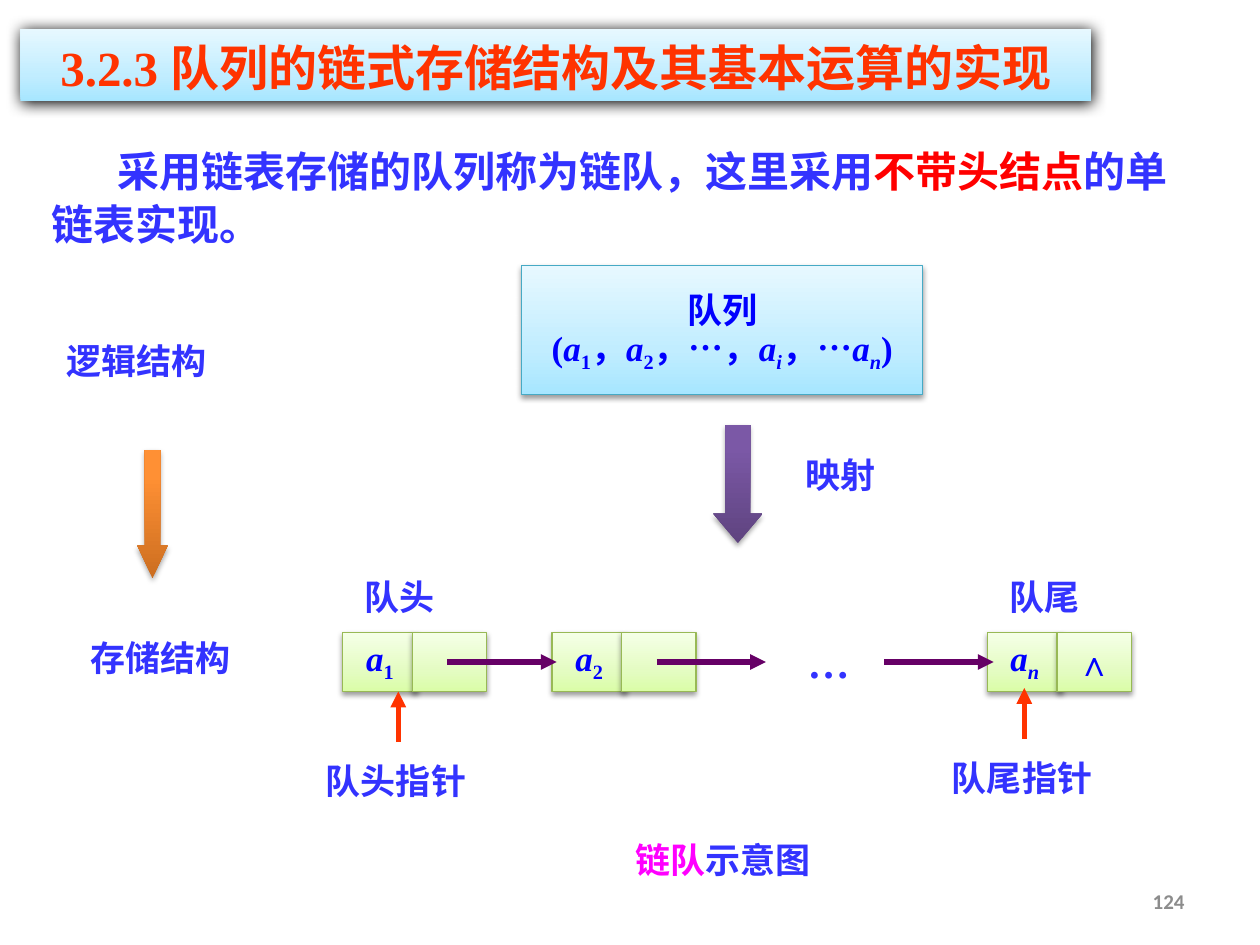
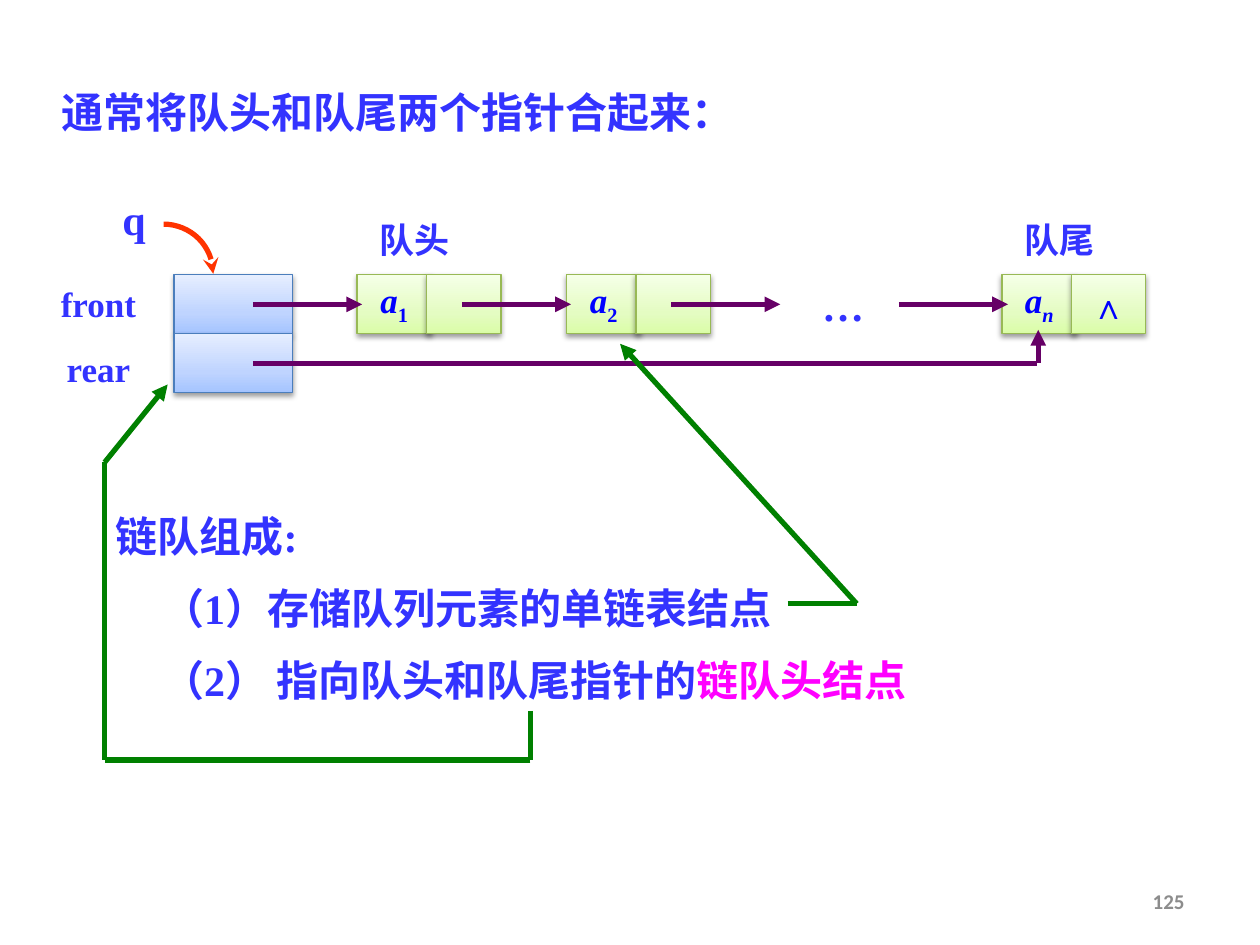
"""Two slides on the linked storage of a queue."""
import math
from dataclasses import dataclass
from typing import Optional, Sequence

import pptx
import pptx.dml.color
import pptx.enum.shapes
import pptx.enum.text
import pptx.oxml
import pptx.oxml.ns
import pptx.util

Cm = pptx.util.Cm
Pt = pptx.util.Pt
RGBColor = pptx.dml.color.RGBColor
SHAPE = pptx.enum.shapes.MSO_SHAPE
ALIGN = pptx.enum.text.PP_ALIGN
ANCHOR = pptx.enum.text.MSO_ANCHOR
qn = pptx.oxml.ns.qn
NAMESPACE = 'xmlns:a="http://schemas.openxmlformats.org/drawingml/2006/main"'

TEXT_BLUE = RGBColor(0x33, 0x33, 0xFF)
NODE_BLUE = RGBColor(0x00, 0x00, 0xFF)
RED = RGBColor(0xFF, 0x00, 0x00)
ORANGE_RED = RGBColor(0xFF, 0x33, 0x00)
MAGENTA = RGBColor(0xFF, 0x00, 0xFF)
PURPLE = RGBColor(0x66, 0x00, 0x66)
GREEN = RGBColor(0x00, 0x80, 0x00)
GREY = RGBColor(0x8C, 0x8C, 0x8C)

SERIF = "Times New Roman"
CHINESE = "Noto Sans CJK SC"
LINE_FACTOR = 1.25


@dataclass(frozen=True)
class Look:
    """Gradient from bottom to top, outline and shadow of a shape."""
    stops: Sequence[tuple[int, str]]
    outline: Optional[RGBColor] = None
    shadow_alpha: int = 38
    shadow_blur: float = 3.1
    shadow_distance: float = 1.6


@dataclass(frozen=True)
class Run:
    """A piece of text in one format."""
    text: str
    color: RGBColor = TEXT_BLUE
    italic: bool = False
    subscript: bool = False


@dataclass(frozen=True)
class Box:
    """Left, top, width and height in centimetres."""
    left: float
    top: float
    width: float
    height: float

    def lengths(self) -> list[int]:
        """Return the four lengths for a python-pptx call."""
        return [Cm(value) for value in (self.left, self.top, self.width, self.height)]


AQUA_STOPS = ((0, "A7E6FF"), (35, "C1EDFF"), (100, "E7F8FF"))
BANNER = Look(AQUA_STOPS, None, 100, 8.5, 1)
AQUA = Look(AQUA_STOPS, RGBColor(0x46, 0xAA, 0xC5))
LIME = Look(((0, "DAFDA7"), (35, "E4FCC2"), (100, "F5FFE7")), RGBColor(0x98, 0xB9, 0x55))
BLUE = Look(((0, "A4C4FF"), (35, "BFD4FF"), (100, "E6EEFF")), RGBColor(0x4B, 0x7E, 0xBC))
VIOLET = Look(((0, "5F4480"), (80, "7B58A6"), (100, "7C57A8")), None, 35, 3.1, 1.8)
ORANGE = Look(((0, "CC6E20"), (80, "FF9034"), (100, "FF9136")), None, 35, 3.1, 1.8)

CELL_WIDTH, CELL_HEIGHT, CELL_STEP = 1.5, 1.19, 1.4
SECOND_NODE, LAST_NODE = 4.22, 13.0
LINK_LENGTH = 2.2


def variable(index: str, italic_index: bool = False) -> list[Run]:
    """Return the runs of a queue element such as a1."""
    return [Run("a", NODE_BLUE, True), Run(index, NODE_BLUE, italic_index, True)]


def fill_paragraph(paragraph, runs: Sequence[Run], size: float, align=ALIGN.LEFT,
                   indent: float = 0, font: str = SERIF, bold: bool = True) -> None:
    """Write formatted runs into a paragraph."""
    paragraph.alignment = align
    paragraph.line_spacing = Pt(size * LINE_FACTOR)
    if indent:
        properties = paragraph._p.get_or_add_pPr()
        properties.set("marL", "0")
        properties.set("indent", str(Cm(indent)))
    for item in runs:
        run = paragraph.add_run()
        run.text = item.text
        run.font.name = font
        run.font.size = Pt(size)
        run.font.bold = bold
        run.font.italic = item.italic
        run.font.color.rgb = item.color
        properties = run._r.get_or_add_rPr()
        properties.append(pptx.oxml.parse_xml(f'<a:ea {NAMESPACE} typeface="{CHINESE}"/>'))
        if item.subscript:
            properties.set("baseline", "-25000")


def add_label(slide, box: Box, runs: Sequence[Run], size: float = 20,
              align=ALIGN.CENTER, indent: float = 0):
    """Add a wrapped text box holding one paragraph."""
    label = slide.shapes.add_textbox(*box.lengths())
    label.text_frame.word_wrap = True
    fill_paragraph(label.text_frame.paragraphs[0], runs, size, align, indent)
    return label


def add_block(slide, kind, box: Box, look: Look):
    """Add a preset shape with gradient, outline and shadow."""
    shape = slide.shapes.add_shape(kind, *box.lengths())
    shape.fill.solid()
    stops = "".join(f'<a:gs pos="{position * 1000}"><a:srgbClr val="{color}"/></a:gs>'
                    for position, color in look.stops)
    properties = shape._element.spPr
    properties.replace(properties.find(qn("a:solidFill")), pptx.oxml.parse_xml(
        f'<a:gradFill {NAMESPACE} rotWithShape="1"><a:gsLst>{stops}</a:gsLst>'
        '<a:lin ang="16200000" scaled="0"/></a:gradFill>'))
    if look.outline is None:
        shape.line.fill.background()
    else:
        shape.line.color.rgb = look.outline
        shape.line.width = Pt(0.75)
    shape.shadow.inherit = False
    properties.find(qn("a:effectLst")).append(pptx.oxml.parse_xml(
        f'<a:outerShdw {NAMESPACE} blurRad="{Pt(look.shadow_blur)}" '
        f'dist="{Pt(look.shadow_distance)}" dir="5400000" rotWithShape="0">'
        f'<a:srgbClr val="000000"><a:alpha val="{look.shadow_alpha * 1000}"/></a:srgbClr>'
        '</a:outerShdw>'))
    return shape


def add_cell(slide, box: Box, look: Look, lines: Sequence[Sequence[Run]] = ()) -> None:
    """Add a rectangle with centred, unwrapped lines of text."""
    cell = add_block(slide, SHAPE.RECTANGLE, box, look)
    frame = cell.text_frame
    frame.word_wrap = False
    frame.vertical_anchor = ANCHOR.MIDDLE
    for number, runs in enumerate(lines):
        paragraph = frame.add_paragraph() if number else frame.paragraphs[0]
        fill_paragraph(paragraph, runs, 20, ALIGN.CENTER)


def add_head(line, kind: str) -> None:
    """Put an arrowhead at the end of a line."""
    line._get_or_add_ln().append(
        pptx.oxml.parse_xml(f'<a:tailEnd {NAMESPACE} type="{kind}"/>'))


def add_line(slide, start: tuple[float, float], end: tuple[float, float],
             color: RGBColor, arrow: bool = True) -> None:
    """Add a straight 3 pt line, by default with an arrowhead."""
    connector = slide.shapes.add_connector(
        pptx.enum.shapes.MSO_CONNECTOR.STRAIGHT, *(Cm(value) for value in start + end))
    connector.line.color.rgb = color
    connector.line.width = Pt(3)
    if arrow:
        add_head(connector.line, "triangle")
    connector._element.spPr.append(pptx.oxml.parse_xml(f"<a:effectLst {NAMESPACE}/>"))


def add_quarter_arrow(slide, left: float, top: float, radius: float) -> None:
    """Add a quarter-circle arrow that runs right and then down."""
    steps = 16
    angles = [math.pi / 2 * step / steps for step in range(steps + 1)]
    points = [(Cm(left + radius * math.sin(angle)),
               Cm(top + radius * (1 - math.cos(angle)))) for angle in angles]
    builder = slide.shapes.build_freeform(*points[0])
    builder.add_line_segments(points[1:], close=False)
    curve = builder.convert_to_shape()
    curve.fill.background()
    curve.line.color.rgb = ORANGE_RED
    curve.line.width = Pt(3)
    curve.shadow.inherit = False
    add_head(curve.line, "stealth")


def add_chain(slide, left: float, top: float) -> None:
    """Draw the linked list with its labels."""
    nodes = ((0, variable("1"), []),
             (SECOND_NODE, variable("2"), []),
             (LAST_NODE, variable("n", True), [Run("∧", NODE_BLUE)]))
    for offset, data, pointer in nodes:
        for column, runs in enumerate((data, pointer)):
            box = Box(left + offset + column * CELL_STEP, top, CELL_WIDTH, CELL_HEIGHT)
            add_cell(slide, box, LIME, [runs] if runs else [])
    middle = top + CELL_HEIGHT / 2
    for offset in (2.11, 2.11 + SECOND_NODE, 10.92):
        add_line(slide, (left + offset, middle), (left + offset + LINK_LENGTH, middle), PURPLE)
    add_label(slide, Box(left + 8.59, top - 0.08, 2.41, 1.27), [Run("…")], 24)
    for offset, text in ((0, "队头"), (LAST_NODE, "队尾")):
        add_label(slide, Box(left + offset - 0.24, top - 1.3, 2.79, 1.12), [Run(text)])


def add_page_number(slide, number: int) -> None:
    """Add the page number at the bottom right."""
    footer = slide.shapes.add_textbox(*Box(18.21, 17.65, 5.92, 1.01).lengths())
    footer.text_frame.word_wrap = True
    footer.text_frame.vertical_anchor = ANCHOR.MIDDLE
    fill_paragraph(footer.text_frame.paragraphs[0], [Run(str(number), GREY)], 12,
                   ALIGN.RIGHT, font="Calibri")


def build_mapping_slide(slide) -> None:
    """Show how the logical structure maps to linked storage."""
    banner = add_block(slide, SHAPE.RECTANGLE, Box(0.41, 0.58, 21.59, 1.45), BANNER)
    banner.text_frame.vertical_anchor = ANCHOR.TOP
    fill_paragraph(banner.text_frame.paragraphs[0],
                   [Run("3.2.3 队列的链式存储结构及其基本运算的实现", ORANGE_RED)],
                   28, ALIGN.CENTER)
    add_label(slide, Box(0.79, 2.77, 23.62, 2.31),
              [Run("采用链表存储的队列称为链队，这里采用"), Run("不带头结点", RED),
               Run("的单链表实现。")], 24, ALIGN.LEFT, 1.33)

    sequence = [Run("(", NODE_BLUE), *variable("1"), Run("，", NODE_BLUE), *variable("2"),
                Run("，…，", NODE_BLUE), *variable("i", True), Run("，…", NODE_BLUE),
                *variable("n", True), Run(")", NODE_BLUE)]
    add_cell(slide, Box(10.52, 5.36, 8.08, 2.59), AQUA, [[Run("队列", NODE_BLUE)], sequence])
    for box, look, head in ((Box(14.38, 8.56, 0.99, 2.39), VIOLET, 0.6),
                            (Box(2.77, 9.07, 0.61, 2.59), ORANGE, 1.08)):
        arrow = add_block(slide, SHAPE.DOWN_ARROW, box, look)
        arrow.adjustments[0], arrow.adjustments[1] = 0.5, head
    add_label(slide, Box(15.77, 8.99, 2.36, 1.09), [Run("映射")])
    for left, top, text in ((1.09, 6.68, "逻辑结构"), (1.57, 12.67, "存储结构")):
        add_label(slide, Box(left, top, 3.68, 1.12), [Run(text)], align=ALIGN.LEFT)

    add_chain(slide, 6.91, 12.75)
    for center, tip, text in ((8.03, 13.94, "队头指针"), (20.65, 13.87, "队尾指针")):
        add_line(slide, (center, tip + 1.02), (center, tip), ORANGE_RED)
        add_label(slide, Box(center - 2.24, tip + 1.22, 4.39, 1.12), [Run(text)])
    add_label(slide, Box(11.79, 16.74, 5.56, 1.12), [Run("链队", MAGENTA), Run("示意图")])


def build_header_node_slide(slide) -> None:
    """Show the header node that joins both pointers."""
    add_label(slide, Box(0.99, 1.57, 14.68, 1.27), [Run("通常将队头和队尾两个指针合起来：")],
              24, ALIGN.LEFT)
    left, top = 7.2, 5.54
    for row, name in enumerate(("front", "rear")):
        add_cell(slide, Box(3.51, top + row * CELL_HEIGHT, 2.39, CELL_HEIGHT), BLUE)
        add_label(slide, Box(0.88, top + row * 1.3, 2.21, 1.09), [Run(name)])
    add_label(slide, Box(2.11, 3.73, 1.19, 1.27), [Run("q")], 24)
    add_quarter_arrow(slide, 3.3, 4.52, 1.0)

    add_chain(slide, left, top)
    front_y, rear_y = top + CELL_HEIGHT / 2, top + CELL_HEIGHT * 1.5
    add_line(slide, (5.1, front_y), (5.1 + LINK_LENGTH, front_y), PURPLE)
    add_line(slide, (5.1, rear_y), (20.9, rear_y), PURPLE, False)
    add_line(slide, (20.93, rear_y), (20.93, 6.65), PURPLE)

    parts = add_label(slide, Box(1.5, 10.13, 22.23, 4.37), [Run("链队组成:")],
                      24, ALIGN.JUSTIFY, 0.58)
    for runs in ([Run("（1）存储队列元素的单链表结点")],
                 [Run("（2） 指向队头和队尾指针的"), Run("链队头结点", MAGENTA)]):
        paragraph = parts.text_frame.add_paragraph()
        paragraph.space_before = Pt(11)
        fill_paragraph(paragraph, runs, 24, ALIGN.JUSTIFY, 1.52)

    routes = (((15.88, 12.17), (17.27, 12.17), (12.5, 6.93)),
              ((10.69, 14.33), (10.69, 15.32), (2.11, 15.32), (2.11, 9.32), (3.38, 7.75)))
    for route in routes:
        for start, end in zip(route, route[1:]):
            add_line(slide, start, end, GREEN, end == route[-1])


def main() -> None:
    """Build and save the presentation."""
    presentation = pptx.Presentation()
    presentation.slide_width, presentation.slide_height = Cm(25.4), Cm(19.05)
    for number, build in enumerate((build_mapping_slide, build_header_node_slide), 124):
        slide = presentation.slides.add_slide(presentation.slide_layouts[6])
        build(slide)
        add_page_number(slide, number)
    presentation.save("out.pptx")


main()
